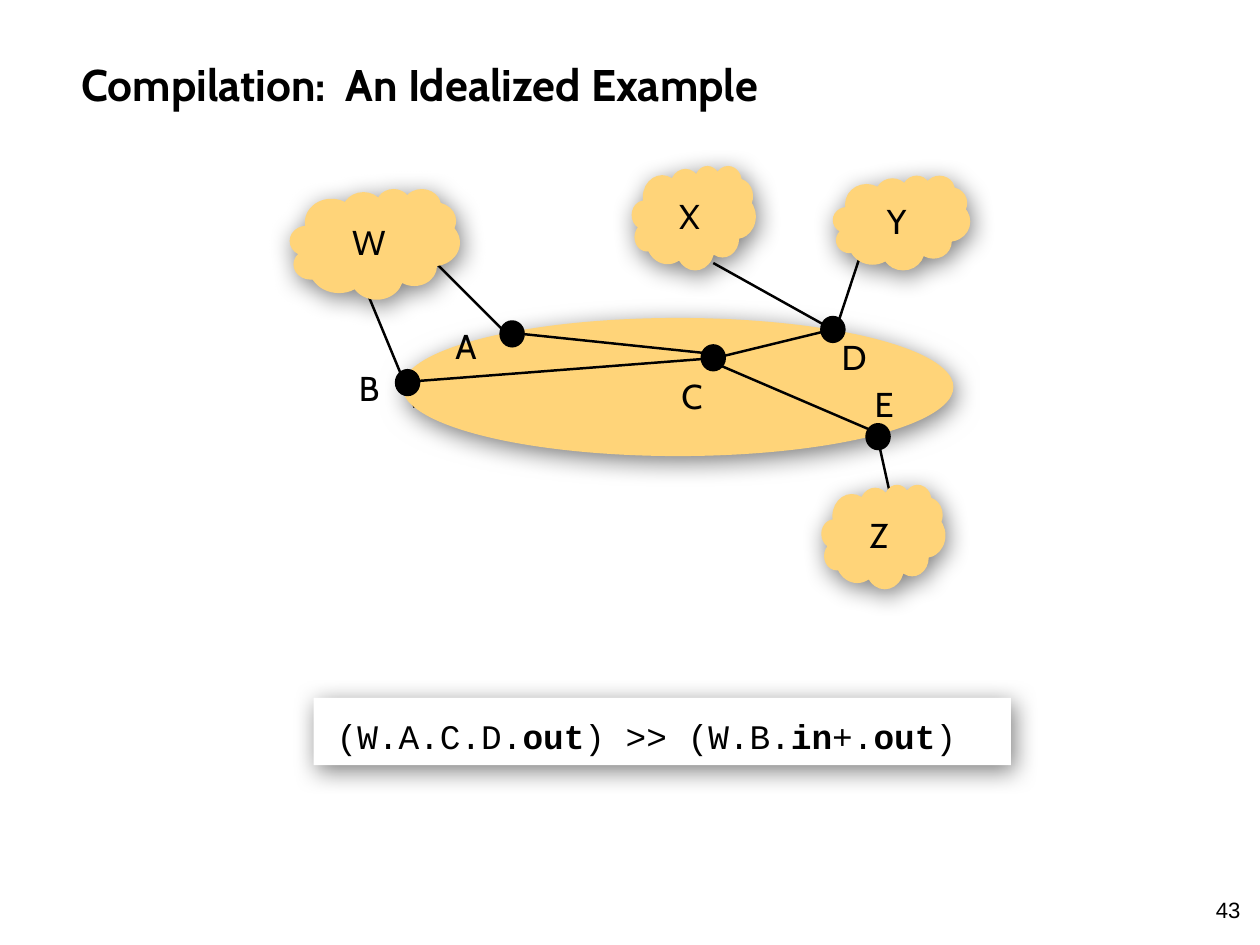
"""Build a slide with an idealized compilation example drawn as a network."""
import lxml.etree
import pptx
import pptx.dml.color
import pptx.enum.shapes
import pptx.enum.text
import pptx.oxml.ns
import pptx.util

Inches = pptx.util.Inches
Pt = pptx.util.Pt
SHAPES = pptx.enum.shapes.MSO_SHAPE
ALIGN = pptx.enum.text.PP_ALIGN
ANCHOR = pptx.enum.text.MSO_ANCHOR

COLORS = {"ink": "000000", "network": "FFD479", "paper": "FFFFFF"}
TITLE = "Compilation:  An Idealized Example"
TITLE_BOX = (0.86, 0.28, 12.5, 1.33)
PAGE_NUMBER = "43"
PAGE_NUMBER_BOX = (13.67, 10.06, 0.38, 0.4)
CODE = [("(W.A.C.D.", False), ("out", True), (") >> (W.B.", False), ("in", True),
        ("+.", False), ("out", True), (")", False)]
CODE_PANEL = (3.54, 7.88, 7.87, 0.76)
CODE_BOX = (3.26, 8.01, 7.62, 0.54)
CODE_INDENT = 0.48
CORE_NETWORK = (4.54, 3.59, 6.22, 1.56)
CLOUDS = {
    "Y": (9.4, 1.98, 1.55, 1.07),
    "Z": (9.27, 5.47, 1.4, 1.18),
    "W": (3.27, 2.13, 1.92, 1.25),
    "X": (7.13, 1.87, 1.4, 1.18),
}
SWITCH_SIZE = (0.26, 0.28)
SWITCHES = {
    "B": {"corner": (4.47, 4.18), "label": (3.99, 4.08, 0.95, 0.85)},
    "A": {"corner": (5.65, 3.63), "label": (5.08, 3.61, 0.73, 0.91)},
    "D": {"corner": (9.27, 3.58), "label": (9.44, 3.73, 0.83, 0.88)},
    "E": {"corner": (9.78, 4.79), "label": (9.81, 4.27, 0.75, 0.91)},
    "C": {"corner": (7.92, 3.9), "label": (7.63, 4.17, 0.85, 0.91)},
}
CLOUD_LINKS = [
    (9.43, 3.74, 8.05, 2.97),
    (9.44, 3.7, 9.79, 2.64),
    (10.17, 6.14, 9.91, 4.97),
    (4.68, 4.6, 3.79, 2.45),
    (5.77, 3.82, 4.44, 2.49),
]
CORE_LINKS = [
    (8.02, 4.08, 9.93, 4.9),
    (4.74, 4.3, 8.11, 4.04),
    (5.79, 3.76, 7.99, 3.99),
    (7.96, 4.07, 9.52, 3.69),
]
LABEL_FONT = {"name": "Cabin", "size": Pt(28)}
TITLE_FONT = {"name": "Cabin", "size": Pt(36), "bold": True}
CODE_FONT = {"name": "Courier New", "size": Pt(28)}
NUMBER_FONT = {"name": "Arial", "size": Pt(18)}
SHADOW = {"blurRad": Pt(20), "dist": Pt(4.9), "dir": 63 * 60000,
          "algn": "ctr", "rotWithShape": 0}
SHADOW_ALPHA = 50000


def color(name):
    return pptx.dml.color.RGBColor.from_string(COLORS[name])


def inches(values):
    return [Inches(value) for value in values]


def apply_format(target, values):
    for name, value in values.items():
        setattr(target, name, value)


def add_xml(parent, tag, **attributes):
    element = lxml.etree.SubElement(parent, pptx.oxml.ns.qn(tag))
    for name, value in attributes.items():
        element.set(name, str(value))
    return element


def write_text(shape, pieces, font, align=ALIGN.LEFT, anchor=ANCHOR.TOP, wrap=True, margin=0.06):
    frame = shape.text_frame
    sides = ("margin_left", "margin_top", "margin_right", "margin_bottom")
    apply_format(frame, dict.fromkeys(sides, Inches(margin)))
    apply_format(frame, {"word_wrap": wrap, "vertical_anchor": anchor,
                         "auto_size": pptx.enum.text.MSO_AUTO_SIZE.NONE})
    paragraph = frame.paragraphs[0]
    paragraph.alignment = align
    for text, bold in pieces:
        run = paragraph.add_run()
        run.text = text
        apply_format(run.font, {"bold": bold, **font})
        run.font.color.rgb = color("ink")
    return paragraph


def add_text_box(slide, box, pieces, font, **options):
    return write_text(slide.shapes.add_textbox(*inches(box)), pieces, font, **options)


def add_filled(slide, kind, box, fill, outlined=False):
    shape = slide.shapes.add_shape(kind, *inches(box))
    shape.shadow.inherit = False
    shape.fill.solid()
    shape.fill.fore_color.rgb = color(fill)
    if outlined:
        shape.line.color.rgb = color("ink")
        shape.line.width = Pt(2)
        return shape
    shape.line.fill.background()
    effects = shape._element.spPr.find(pptx.oxml.ns.qn("a:effectLst"))
    shadow = add_xml(effects, "a:outerShdw", **SHADOW)
    shade = add_xml(shadow, "a:srgbClr", val=COLORS["ink"])
    add_xml(shade, "a:alpha", val=SHADOW_ALPHA)
    return shape


def add_links(slide, links):
    for link in links:
        connector = slide.shapes.add_connector(
            pptx.enum.shapes.MSO_CONNECTOR.STRAIGHT, *inches(link))
        connector.line.color.rgb = color("ink")
        connector.line.width = Pt(2)
        add_xml(connector._element.spPr, "a:effectLst")


def main():
    presentation = pptx.Presentation()
    apply_format(presentation, {"slide_width": Inches(14.22), "slide_height": Inches(10.67)})
    slide = presentation.slides.add_slide(presentation.slide_layouts[5])

    title = slide.shapes.title
    apply_format(title, dict(zip(("left", "top", "width", "height"), inches(TITLE_BOX))))
    write_text(title, [(TITLE, True)], TITLE_FONT, anchor=ANCHOR.MIDDLE)
    add_text_box(slide, PAGE_NUMBER_BOX, [(PAGE_NUMBER, False)], NUMBER_FONT,
                 align=ALIGN.CENTER, wrap=False)

    add_filled(slide, SHAPES.RECTANGLE, CODE_PANEL, "paper")
    code = add_text_box(slide, CODE_BOX, CODE, CODE_FONT)
    properties = code._p.get_or_add_pPr()
    for name, value in {"marL": 0, "indent": Inches(CODE_INDENT), "lvl": 1}.items():
        properties.set(name, str(value))

    add_links(slide, CLOUD_LINKS)
    add_filled(slide, SHAPES.OVAL, CORE_NETWORK, "network")
    for name, box in CLOUDS.items():
        cloud = add_filled(slide, SHAPES.CLOUD, box, "network")
        write_text(cloud, [(name, False)], LABEL_FONT, align=ALIGN.CENTER,
                   anchor=ANCHOR.MIDDLE, margin=0.05)
    for name, switch in SWITCHES.items():
        add_text_box(slide, switch["label"], [(name, False)], LABEL_FONT)
        add_filled(slide, SHAPES.OVAL, switch["corner"] + SWITCH_SIZE, "ink", outlined=True)
    add_links(slide, CORE_LINKS)

    presentation.save("out.pptx")


if __name__ == "__main__":
    main()
